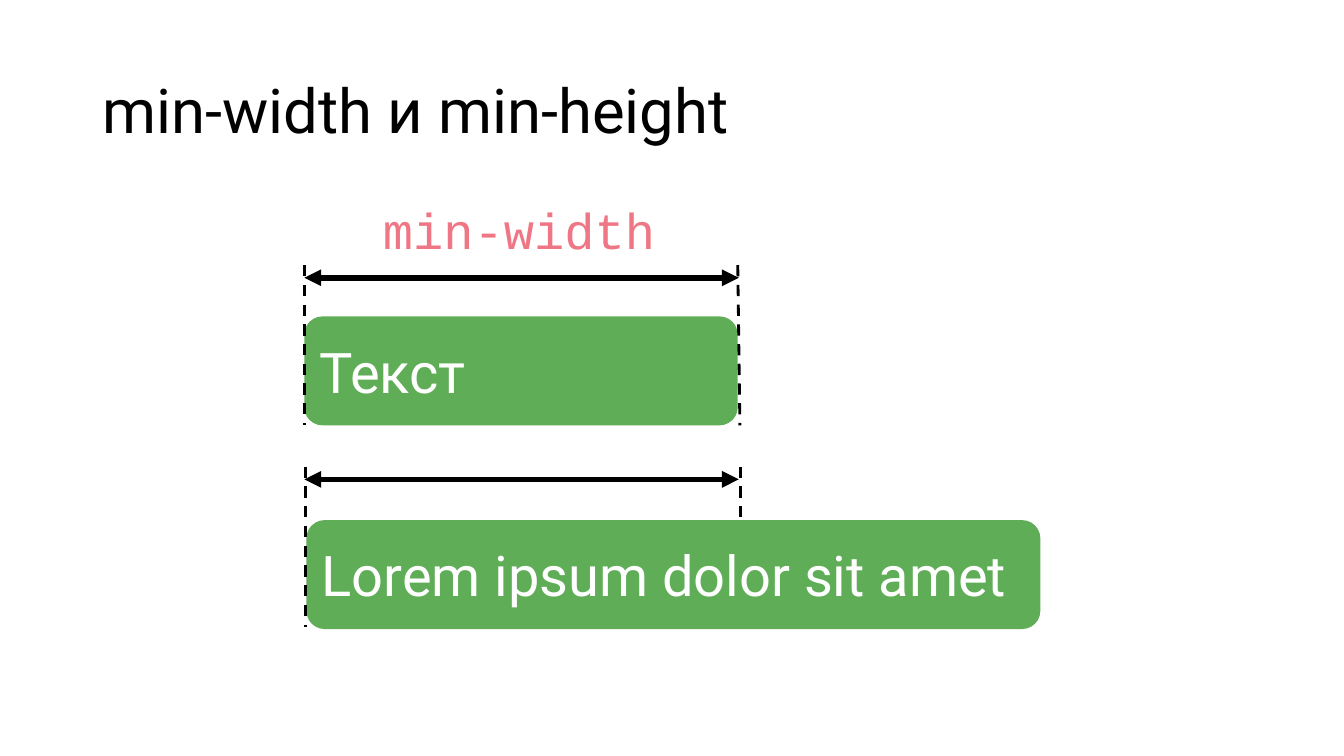
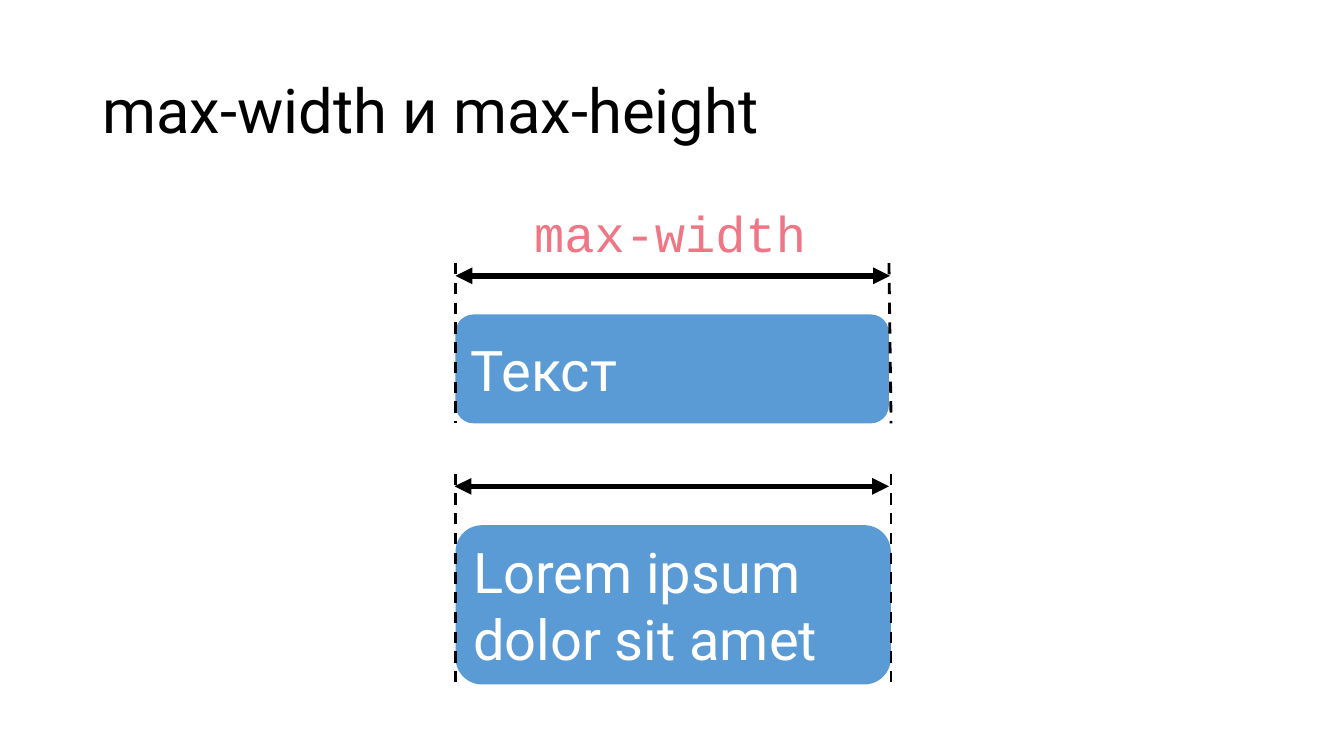
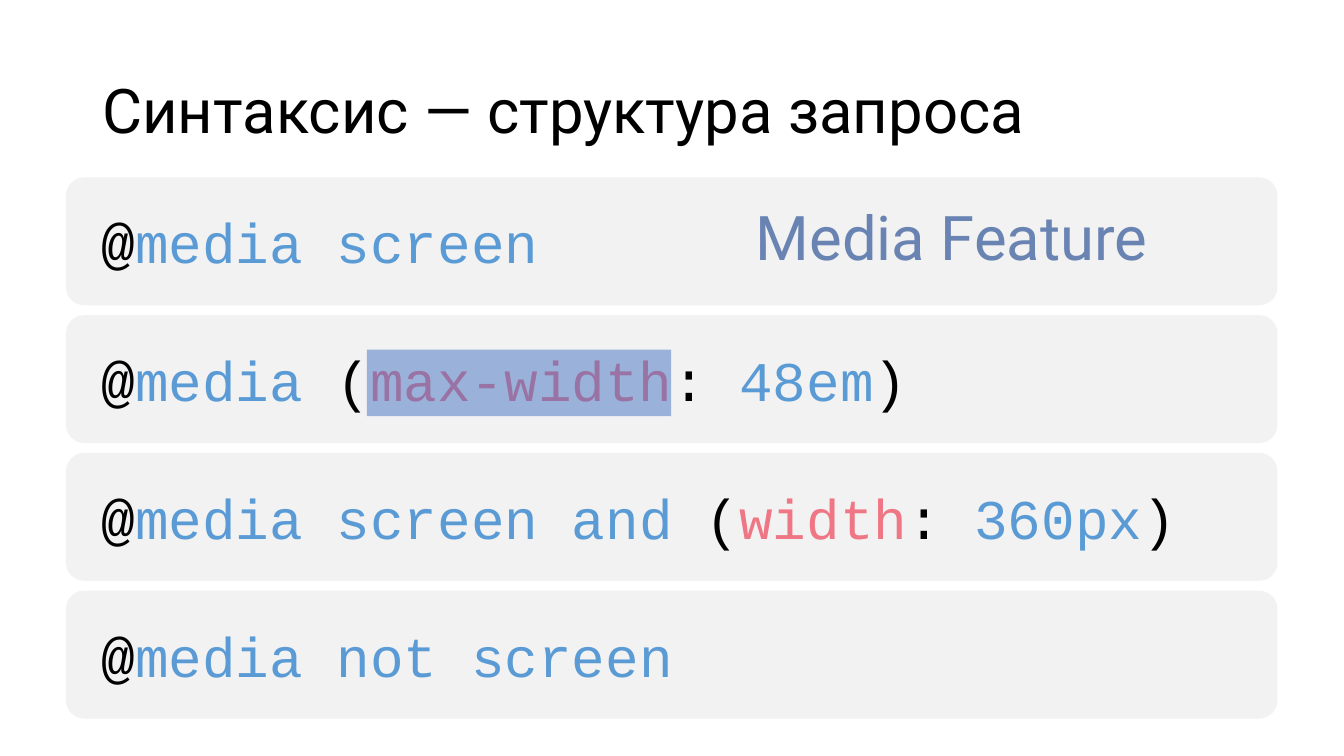
"""Build three slides on CSS size limits and media query syntax."""
from dataclasses import dataclass

import lxml.etree
import pptx
import pptx.dml.color
import pptx.enum.dml
import pptx.enum.shapes
import pptx.enum.text
import pptx.oxml.ns
import pptx.util

Pt = pptx.util.Pt
ANCHOR = pptx.enum.text.MSO_ANCHOR
SHAPE = pptx.enum.shapes.MSO_SHAPE
qn = pptx.oxml.ns.qn


@dataclass(frozen=True)
class Theme:
    black: str = "000000"
    white: str = "FFFFFF"
    green: str = "5FAD56"
    blue: str = "5B9BD5"
    pink: str = "EF7684"
    panel: str = "F2F2F2"
    highlight: str = "4472C4"
    feature: str = "2F5597"
    sans: str = "Roboto"
    mono: str = "Courier New"
    title_size: int = 44
    body_size: int = 40
    label_size: int = 36
    arrow_width: int = 4
    guide_width: int = 2


THEME = Theme()
SLIDE_SIZE = (960, 540)
TITLE_BOX = (66, 28.8, 828, 104.4)
SPAN = 310.3
ARROW_DROP = 9

LIMIT_SLIDES = [
    {
        "title": "min-width и min-height",
        "label": "min-width",
        "label_box": (266.4, 139, 211, 51.1),
        "color": THEME.green,
        "boxes": [
            {"text": "Текст", "box": (217.4, 226, 309.6, 77.8),
             "arrow_left": 217.4, "guide_top": 189.4,
             "guides": [(217.4, 217.4, 303.8), (527, 528.5, 303.8)]},
            {"text": "Lorem ipsum dolor sit amet", "box": (218.9, 371.5, 524.2, 77.8),
             "arrow_left": 217.4, "guide_top": 333.4,
             "guides": [(218.2, 218.2, 447.8), (529.2, 529.2, 370)]},
        ],
    },
    {
        "title": "max-width и max-height",
        "label": "max-width",
        "label_box": (374.4, 141.1, 211, 51.1),
        "color": THEME.blue,
        "boxes": [
            {"text": "Текст", "box": (325.4, 224.6, 309.6, 77.8),
             "arrow_left": 325.4, "guide_top": 188,
             "guides": [(325.4, 325.4, 302.4), (635, 636.5, 302.4)]},
            {"text": "Lorem ipsum dolor sit amet", "box": (325.4, 375.1, 311, 113.8),
             "arrow_left": 324.7, "guide_top": 338.4,
             "guides": [(325.4, 325.4, 488.2), (636.5, 636.5, 488.2)]},
        ],
    },
]

SYNTAX_TITLE = "Синтаксис — структура запроса"
AT = ("@", THEME.black)
OPEN = ("(", THEME.black)
COLON = (": ", THEME.black)
CLOSE = (")", THEME.black)
QUERIES = [
    [AT, ("media screen", THEME.blue)],
    [AT, ("media ", THEME.blue), OPEN, ("max-width", THEME.pink), COLON,
     ("48em", THEME.blue), CLOSE],
    [AT, ("media screen and ", THEME.blue), OPEN, ("width", THEME.pink), COLON,
     ("360px", THEME.blue), CLOSE],
    [AT, ("media not screen", THEME.blue)],
]
QUERY_BOX = (47.1, 126.7, 865.4, 91.4)
QUERY_PITCH = 98.4
QUERY_CORNER = 0.143
QUERY_INSETS = (21.6, 18, 21.6, 18)
HIGHLIGHT_BOX = (262.1, 249.8, 217.4, 47.5)
FEATURE = "Media Feature"
FEATURE_BOX = (532.8, 128.9, 315.4, 85.7)


def rgb(color):
    return pptx.dml.color.RGBColor.from_string(color)


def set_alpha(holder, percent):
    color = next(holder.iter(qn("a:srgbClr")))
    lxml.etree.SubElement(color, qn("a:alpha")).set("val", str(percent * 1000))


def write(shape, text, *, size=THEME.body_size, font=THEME.sans, color=THEME.black,
          anchor=ANCHOR.MIDDLE, insets=(7.2, 3.6, 7.2, 3.6), spacing=None,
          wrap=True, alpha=None):
    """Fill a shape with a string or a list of (text, color) runs."""
    frame = shape.text_frame
    frame.word_wrap = wrap
    frame.vertical_anchor = anchor
    (frame.margin_left, frame.margin_top,
     frame.margin_right, frame.margin_bottom) = map(Pt, insets)
    paragraph = frame.paragraphs[0]
    paragraph.alignment = pptx.enum.text.PP_ALIGN.LEFT
    if spacing:
        paragraph.line_spacing = spacing
    for words, run_color in [(text, color)] if isinstance(text, str) else text:
        run = paragraph.add_run()
        run.text = words
        run.font.name = font
        run.font.size = Pt(size)
        run.font.color.rgb = rgb(run_color)
        if alpha is not None:
            set_alpha(run.font._element, alpha)


def add_text(slide, box, text, **style):
    write(slide.shapes.add_textbox(*map(Pt, box)), text, **style)


def add_block(slide, kind, box, color, corner=None):
    block = slide.shapes.add_shape(kind, *map(Pt, box))
    block.shadow.inherit = False
    block.fill.solid()
    block.fill.fore_color.rgb = rgb(color)
    block.line.fill.background()
    if corner is not None:
        block.adjustments[0] = corner
    return block


def add_line(slide, start, end, width):
    connector = slide.shapes.add_connector(
        pptx.enum.shapes.MSO_CONNECTOR.STRAIGHT, *map(Pt, (*start, *end)))
    connector.line.color.rgb = rgb(THEME.black)
    connector.line.width = Pt(width)
    lxml.etree.SubElement(connector._element.spPr, qn("a:effectLst"))
    return connector.line


def add_arrow(slide, left, top):
    line = add_line(slide, (left, top), (left + SPAN, top), THEME.arrow_width)
    for end in ("a:headEnd", "a:tailEnd"):
        lxml.etree.SubElement(line._get_or_add_ln(), qn(end)).set("type", "triangle")


def add_guide(slide, start, end):
    line = add_line(slide, start, end, THEME.guide_width)
    line.dash_style = pptx.enum.dml.MSO_LINE.DASH


def add_titled_slide(deck, title):
    slide = deck.slides.add_slide(deck.slide_layouts[6])
    add_text(slide, TITLE_BOX, title, size=THEME.title_size, spacing=0.9)
    return slide


def add_limit_slide(deck, content):
    slide = add_titled_slide(deck, content["title"])
    for item in content["boxes"]:
        block = add_block(slide, SHAPE.ROUNDED_RECTANGLE, item["box"], content["color"])
        write(block, item["text"], color=THEME.white)
    for item in content["boxes"]:
        top = item["guide_top"]
        add_arrow(slide, item["arrow_left"], top + ARROW_DROP)
        for top_x, bottom_x, bottom in item["guides"]:
            add_guide(slide, (top_x, top), (bottom_x, bottom))
    add_text(slide, content["label_box"], content["label"], size=THEME.label_size,
             font=THEME.mono, color=THEME.pink, anchor=ANCHOR.TOP, wrap=False)


def add_syntax_slide(deck):
    slide = add_titled_slide(deck, SYNTAX_TITLE)
    left, top, width, height = QUERY_BOX
    for row, query in enumerate(QUERIES):
        panel = add_block(slide, SHAPE.ROUNDED_RECTANGLE,
                          (left, top + row * QUERY_PITCH, width, height),
                          THEME.panel, QUERY_CORNER)
        write(panel, query, font=THEME.mono, anchor=ANCHOR.TOP, insets=QUERY_INSETS)
    highlight = add_block(slide, SHAPE.RECTANGLE, HIGHLIGHT_BOX, THEME.highlight)
    set_alpha(highlight._element.spPr, 50)
    add_text(slide, FEATURE_BOX, FEATURE, size=THEME.title_size,
             color=THEME.feature, spacing=0.9, alpha=70)


def main():
    deck = pptx.Presentation()
    deck.slide_width, deck.slide_height = map(Pt, SLIDE_SIZE)
    for content in LIMIT_SLIDES:
        add_limit_slide(deck, content)
    add_syntax_slide(deck)
    deck.save("out.pptx")


if __name__ == "__main__":
    main()
